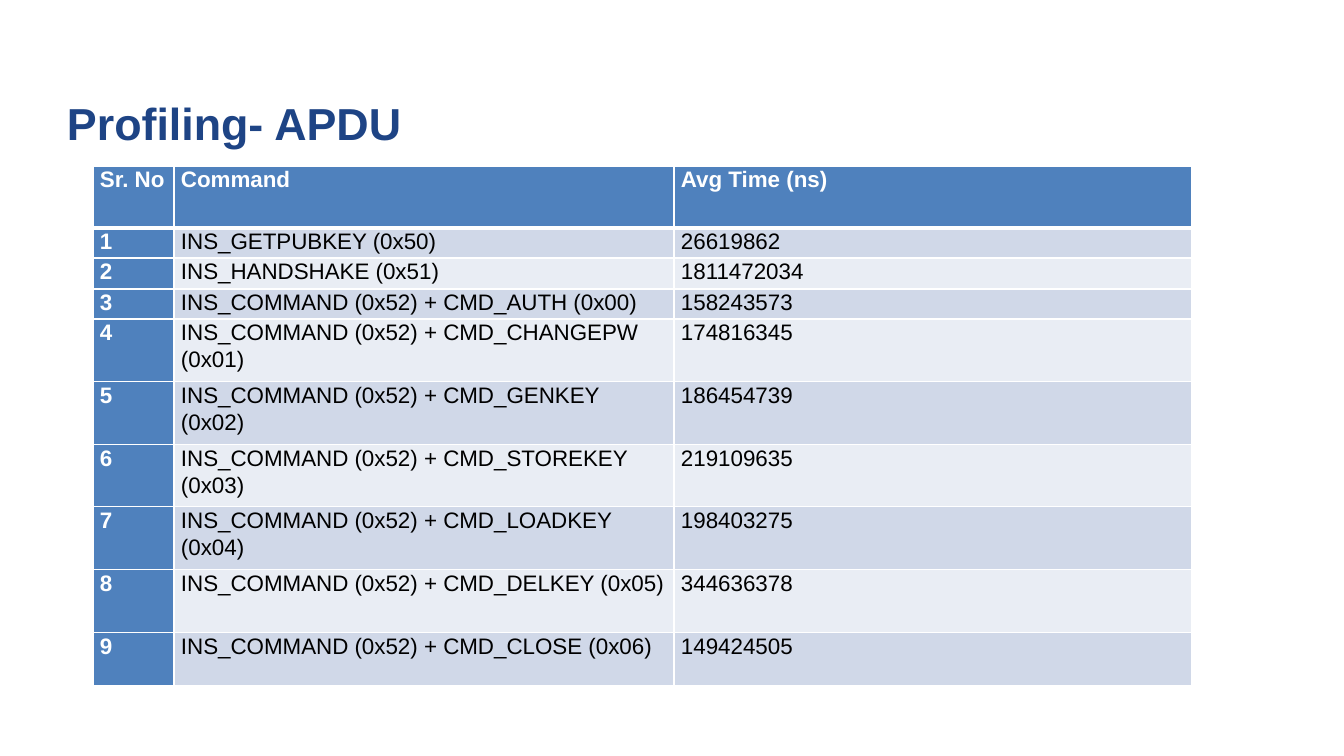
from lxml import etree
from pptx import Presentation, util as u
from pptx.dml.color import RGBColor
from pptx.enum import text
from pptx.oxml.ns import qn

# Content
TITLE = "Profiling- APDU"
HEADER = ("Sr. No", "Command", "Avg Time (ns)")
TIMINGS = [
    ("INS_GETPUBKEY (0x50)", 26619862),
    ("INS_HANDSHAKE (0x51)", 1811472034),
    ("INS_COMMAND (0x52) + CMD_AUTH (0x00)", 158243573),
    ("INS_COMMAND (0x52) + CMD_CHANGEPW (0x01)", 174816345),
    ("INS_COMMAND (0x52) + CMD_GENKEY (0x02)", 186454739),
    ("INS_COMMAND (0x52) + CMD_STOREKEY (0x03)", 219109635),
    ("INS_COMMAND (0x52) + CMD_LOADKEY (0x04)", 198403275),
    ("INS_COMMAND (0x52) + CMD_DELKEY (0x05)", 344636378),
    ("INS_COMMAND (0x52) + CMD_CLOSE (0x06)", 149424505),
]
ROWS = [HEADER] + [(number, *timing) for number, timing in enumerate(TIMINGS, 1)]

# Layout in pixels
TITLE_BOX = (67, 79, 1210, 88)
TABLE_LEFT, TABLE_TOP = 93, 166
COLUMN_WIDTHS = (81, 500, 518)
ROW_HEIGHTS = (62, 30, 31, 30, 63, 63, 62, 63, 63, 53)
CELL_INSET = 7

FONT = "Arial"
NAVY = RGBColor(0x1E, 0x44, 0x85)
BLUE = RGBColor(0x4F, 0x81, 0xBD)
BANDS = (RGBColor(0xE9, 0xED, 0xF4), RGBColor(0xD0, 0xD8, 0xE8))
WHITE = RGBColor(0xFF, 0xFF, 0xFF)
BLACK = RGBColor(0, 0, 0)


def px(pixels):
    return u.Emu(round(pixels * 914400 / 100.8))


def format_run(span, size, color, bold):
    span.font.name = FONT
    span.font.size = u.Pt(size)
    span.font.bold = bold
    span.font.color.rgb = color


def set_borders(cell, widths):
    """Draw white borders; widths are points for left, right, top, bottom."""
    properties = cell._tc.get_or_add_tcPr()
    for index, (side, width) in enumerate(zip("LRTB", widths)):
        line = etree.Element(qn(f"a:ln{side}"), w=str(u.Pt(width)))
        fill = etree.SubElement(line, qn("a:solidFill"))
        etree.SubElement(fill, qn("a:srgbClr"), val=str(WHITE))
        properties.insert(index, line)


deck = Presentation()
deck.slide_width, deck.slide_height = px(1344), px(756)
page = deck.slides.add_slide(deck.slide_layouts[5])

# Title
title = page.shapes.title
title.left, title.top, title.width, title.height = map(px, TITLE_BOX)
frame = title.text_frame
frame.text = TITLE
frame.margin_left = frame.margin_right = frame.margin_top = frame.margin_bottom = 0
frame.vertical_anchor = text.MSO_ANCHOR.MIDDLE
frame.paragraphs[0].alignment = text.PP_ALIGN.LEFT
format_run(frame.paragraphs[0].runs[0], 32, NAVY, True)

# Timing table
table = page.shapes.add_table(
    len(ROWS), len(HEADER), px(TABLE_LEFT), px(TABLE_TOP),
    px(sum(COLUMN_WIDTHS)), px(sum(ROW_HEIGHTS))).table
table.first_col = True
for column, width in zip(table.columns, COLUMN_WIDTHS):
    column.width = px(width)

for r, (values, height) in enumerate(zip(ROWS, ROW_HEIGHTS)):
    table.rows[r].height = px(height)
    for c, value in enumerate(values):
        cell = table.cell(r, c)
        heading = r == 0 or c == 0
        cell.margin_left = cell.margin_right = px(CELL_INSET)
        cell.margin_top = cell.margin_bottom = 0
        cell.fill.solid()
        cell.fill.fore_color.rgb = BLUE if heading else BANDS[r % 2]
        set_borders(cell, (1, 1, 3 if r == 1 else 1, 3 if r == 0 else 1))
        cell.text_frame.text = str(value)
        para = cell.text_frame.paragraphs[0]
        para.line_spacing = 1.07
        format_run(para.runs[0], 16, WHITE if heading else BLACK, heading)

deck.save("out.pptx")
